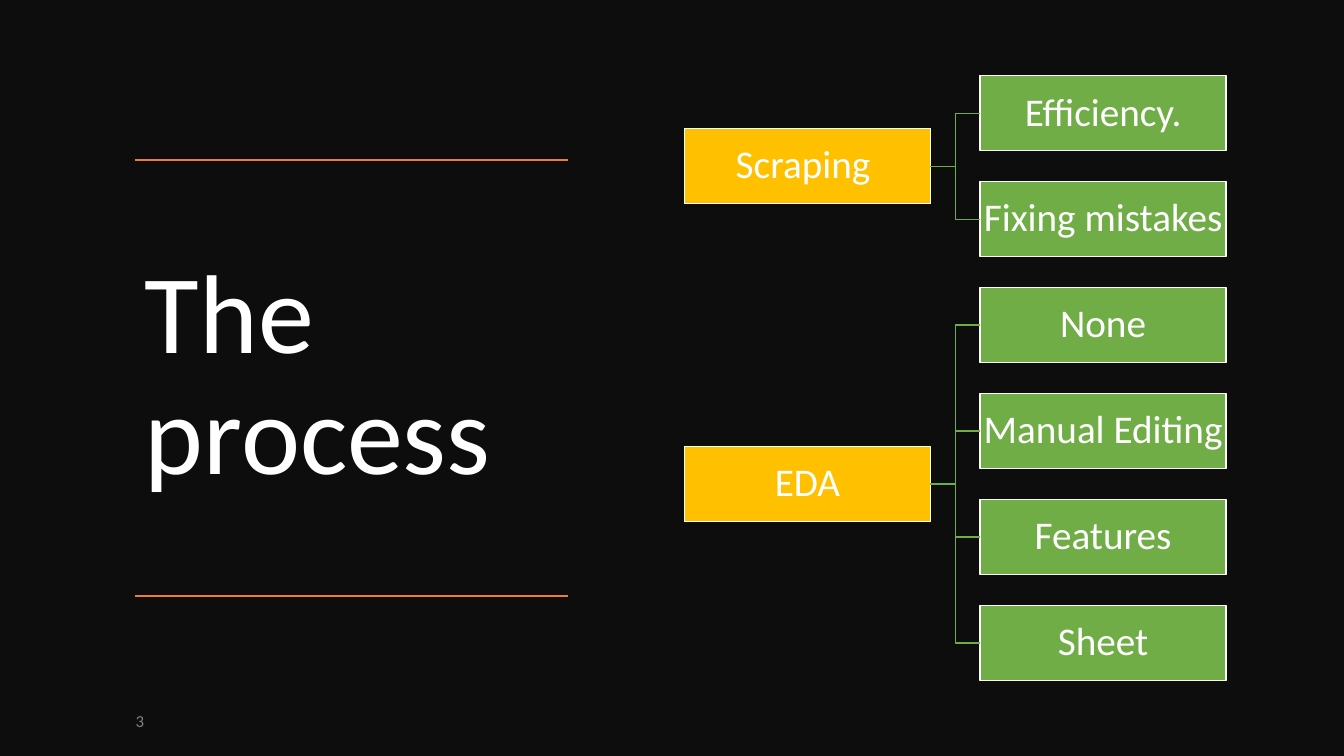
from lxml import etree
from pptx import Presentation
from pptx.dml.color import RGBColor
from pptx.enum.shapes import MSO_CONNECTOR, MSO_SHAPE
from pptx.enum.text import MSO_ANCHOR, MSO_AUTO_SIZE, PP_ALIGN
from pptx.oxml.ns import qn
from pptx.util import Cm, Pt

RECT = MSO_SHAPE.RECTANGLE
LINE, ELBOW = MSO_CONNECTOR.STRAIGHT, MSO_CONNECTOR.ELBOW
LEFT, MID = PP_ALIGN.LEFT, PP_ALIGN.CENTER
LEFT_SITE, RIGHT_SITE = 1, 3
WHITE, GREY, BLACK = "FFFFFF", "808080", "0D0D0D"
GOLD, GREEN, ORANGE = "FFC000", "70AD47", "ED7D31"
FRAME = {"word_wrap": True, "vertical_anchor": MSO_ANCHOR.MIDDLE,
         "auto_size": MSO_AUTO_SIZE.NONE}
TIGHT = {"margin_" + side: Cm(0.05) for side in ("left", "top", "right", "bottom")}


def write(shape, text, size, color, align, spacing=0.9, **extra):
    """Put one formatted paragraph of text in a shape."""
    frame = shape.text_frame
    frame.text = text
    para = frame.paragraphs[0]
    formats = ((frame, {**FRAME, **extra}),
               (para, {"alignment": align, "line_spacing": spacing}),
               (para.font, {"name": "Calibri", "size": Pt(size), "bold": False}))
    for part, values in formats:
        for name, value in values.items():
            setattr(part, name, value)
    para.font.color.rgb = RGBColor.from_string(color)


def link(kind, color, x1=0, y1=0, x2=0, y2=0):
    """Add a one-point connector with no shadow, lengths in cm."""
    line = slide.shapes.add_connector(kind, Cm(x1), Cm(y1), Cm(x2), Cm(y2))
    line.line.color.rgb = RGBColor.from_string(color)
    line.line.width = Pt(1)
    etree.SubElement(line._element.spPr, qn("a:effectLst"))
    return line


deck = Presentation()
deck.slide_width, deck.slide_height = Cm(33.87), Cm(19.05)
slide = deck.slides.add_slide(deck.slide_layouts[5])
fill = slide.background.fill
fill.solid()
fill.fore_color.rgb = RGBColor.from_string(BLACK)

# Title between two rules
left, top, width, height = 3.4, 4.03, 10.92, 10.99
title = slide.shapes.title
title.left, title.top, title.width, title.height = map(Cm, (left, top, width, height))
write(title, "The process", 80, WHITE, LEFT)
for y in (top, top + height):
    link(LINE, ORANGE, left + width, y, left, y)

number = slide.shapes.add_textbox(Cm(3.17), Cm(17.65), Cm(5.7), Cm(1.02))
write(number, "3", 12, GREY, LEFT, 1)

# Tree: each stage is centred on its steps
tree = {"Scraping ": ["Efficiency.", "Fixing mistakes"],
        "EDA": ["None", "Manual Editing", "Features", "Sheet"]}
stage_x, step_x, first_y, pitch = 17.25, 24.7, 1.91, 2.67
row = 0
for stage, steps in tree.items():
    rows = range(row, row + len(steps))
    cells = [(stage, stage_x, sum(rows) / len(rows), GOLD)]
    cells += [(step, step_x, r, GREEN) for step, r in zip(steps, rows)]
    boxes = []
    for text, x, place, color in cells:
        box = slide.shapes.add_shape(RECT, Cm(x), Cm(first_y + place * pitch),
                                     Cm(6.2), Cm(1.89))
        box.shadow.inherit = False
        box.fill.solid()
        box.fill.fore_color.rgb = RGBColor.from_string(color)
        box.line.color.rgb = RGBColor.from_string(WHITE)
        box.line.width = Pt(1)
        write(box, text, 28, WHITE, MID, **TIGHT)
        boxes.append(box)
    root, *leaves = boxes
    for leaf in leaves:
        branch = link(ELBOW, GREEN)
        branch.begin_connect(root, RIGHT_SITE)
        branch.end_connect(leaf, LEFT_SITE)
    row += len(steps)

deck.save("out.pptx")
